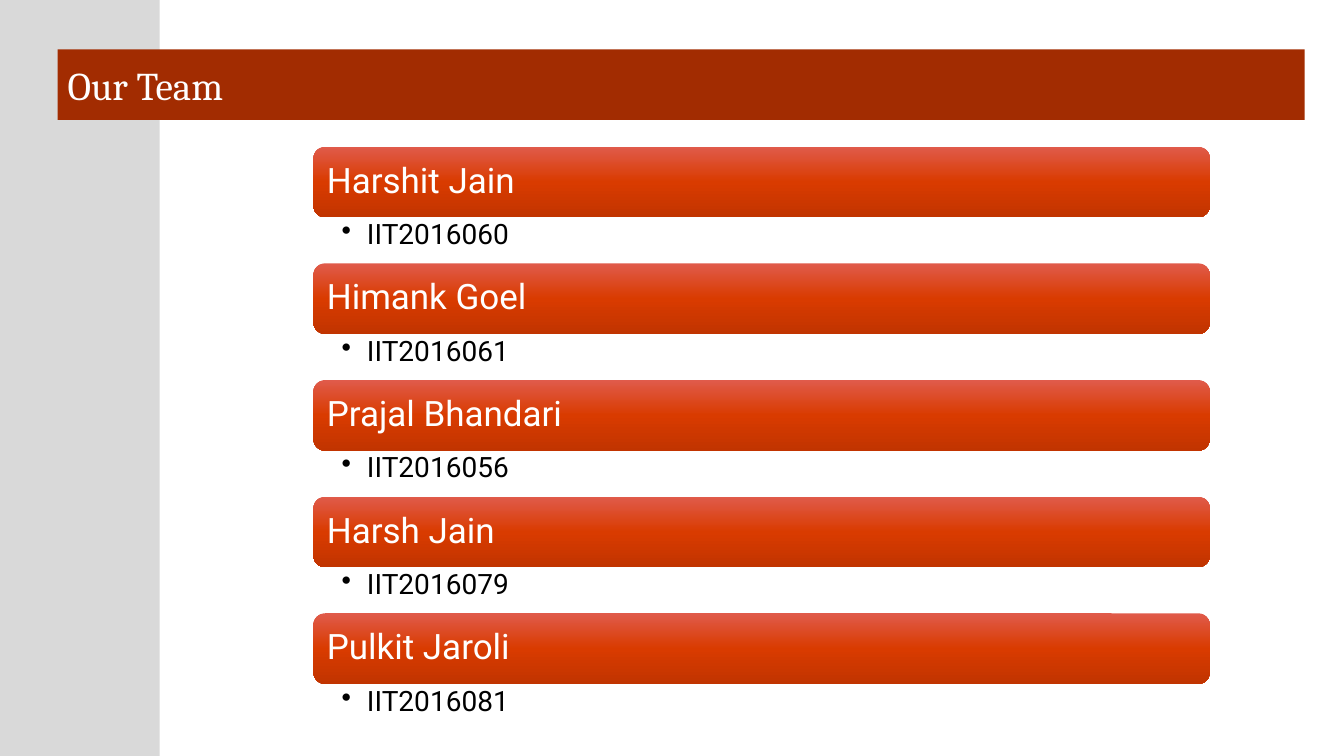
"""Build the team slide: a title band over five name bars, each with its roll number."""
from copy import deepcopy
from dataclasses import dataclass

from lxml import etree
from pptx import Presentation, util as u
from pptx.dml.color import RGBColor
from pptx.enum import shapes, text
from pptx.oxml.ns import qn


@dataclass(frozen=True)
class Theme:
    side: str = "D9D9D9"
    band: str = "A22C01"
    light: str = "FFFFFF"
    dark: str = "000000"
    bar: tuple = ("E05B4B", "D93B00", "C13400")
    serif: str = "Cambria"
    sans: str = "Roboto"
    head: int = 28
    name: int = 25
    roll: int = 20


def write(shape, words, *, size, font, color, anchor=text.MSO_ANCHOR.MIDDLE,
          inset=(0.1, 0.05, 0.1, 0.05), line=1.0, after=0, bullet=False):
    frame = shape.text_frame
    frame.word_wrap = True
    frame.auto_size = text.MSO_AUTO_SIZE.NONE
    frame.vertical_anchor = anchor
    (frame.margin_left, frame.margin_top,
     frame.margin_right, frame.margin_bottom) = map(u.Inches, inset)
    para = frame.paragraphs[0]
    para.alignment = text.PP_ALIGN.LEFT
    para.line_spacing = line
    para.space_after = u.Pt(size * after)
    run = para.add_run()
    run.text = words
    run.font.size = u.Pt(size)
    run.font.name = font
    run.font.color.rgb = RGBColor.from_string(color)
    if bullet:
        props = para._p.get_or_add_pPr()
        props.set("marL", str(u.Inches(0.25)))
        props.set("indent", str(-u.Inches(0.25)))
        etree.SubElement(props, qn("a:buChar")).set("char", "•")


class Page:
    def __init__(self, deck, theme):
        self.deck, self.theme = deck, theme
        self.slide = deck.slides.add_slide(deck.slide_layouts[5])

    def place(self, left, top, width, height):
        wide, high = self.deck.slide_width, self.deck.slide_height
        return [round(share * full / 100) for share, full in
                zip((left, top, width, height), (wide, high, wide, high))]

    def block(self, kind, *area):
        shape = self.slide.shapes.add_shape(kind, *self.place(*area))
        shape.shadow.inherit = False
        shape.line.fill.background()
        return shape

    def panel(self, *area):
        shape = self.block(shapes.MSO_SHAPE.RECTANGLE, *area)
        shape.fill.solid()
        shape.fill.fore_color.rgb = RGBColor.from_string(self.theme.side)
        self.slide.shapes.title.element.addprevious(shape.element)

    def title(self, words, *area):
        head = self.slide.shapes.title
        head.left, head.top, head.width, head.height = self.place(*area)
        head.fill.solid()
        head.fill.fore_color.rgb = RGBColor.from_string(self.theme.band)
        write(head, words, size=self.theme.head, font=self.theme.serif,
              color=self.theme.light)

    def bar(self, words, *area):
        shape = self.block(shapes.MSO_SHAPE.ROUNDED_RECTANGLE, *area)
        fill = shape.fill
        fill.gradient()
        fill.gradient_angle = 270
        first = shape.element.spPr.find(".//" + qn("a:gs"))
        first.addnext(deepcopy(first))
        for stop, color, spot in zip(fill.gradient_stops, self.theme.bar, (0, 0.5, 1)):
            stop.color.rgb = RGBColor.from_string(color)
            stop.position = spot
        write(shape, words, size=self.theme.name, font=self.theme.sans,
              color=self.theme.light, inset=(0.1, 0.1, 0.1, 0.1), line=0.9, after=0.35)

    def roll(self, words, *area):
        box = self.slide.shapes.add_textbox(*self.place(*area))
        write(box, words, size=self.theme.roll, font=self.theme.sans,
              color=self.theme.dark, anchor=text.MSO_ANCHOR.TOP,
              inset=(0.28, 0.03, 0.19, 0.03), line=0.9, after=0.2, bullet=True)


def main():
    deck = Presentation()
    deck.slide_width, deck.slide_height = u.Inches(13.33), u.Inches(7.5)
    page = Page(deck, Theme())
    page.panel(0, 0, 11.88, 100)
    page.title("Our Team", 4.28, 6.53, 92.8, 9.33)

    team = (("Harshit Jain", "IIT2016060"), ("Himank Goel", "IIT2016061"),
            ("Prajal Bhandari", "IIT2016056"), ("Harsh Jain", "IIT2016079"),
            ("Pulkit Jaroli", "IIT2016081"))
    left, top, width, high, low = 23.33, 19.4, 66.69, 9.35, 6.08
    for row, (name, roll) in enumerate(team):
        start = top + row * (high + low)
        page.bar(name, left, start, width, high)
        page.roll(roll, left, start + high, width, low)
    deck.save("out.pptx")


if __name__ == "__main__":
    main()
